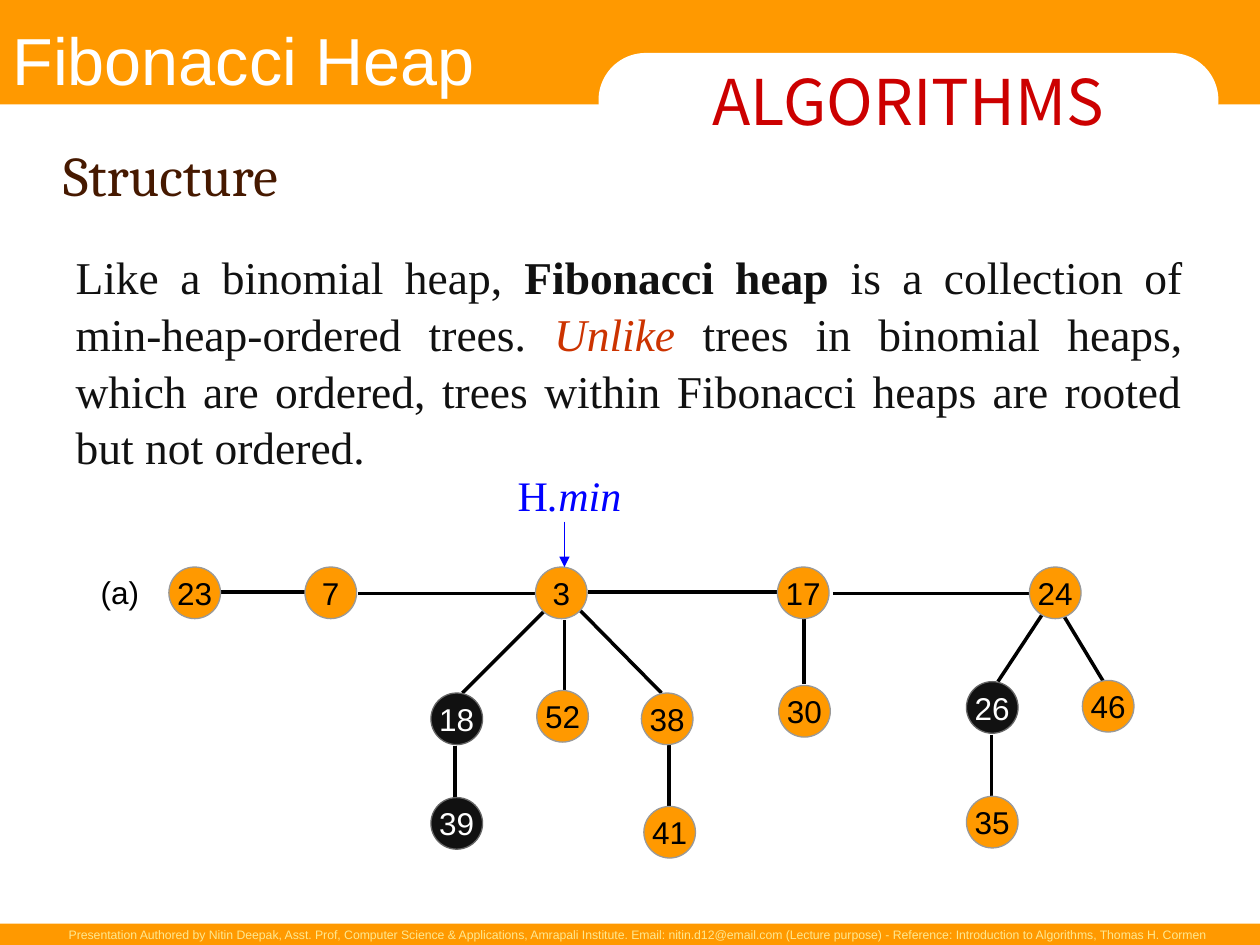
import pptx
import pptx.util
import pptx.dml.color
import pptx.enum.shapes
import pptx.enum.text
import pptx.oxml.ns
from lxml import etree

Inches = pptx.util.Inches
Pt = pptx.util.Pt
Shape = pptx.enum.shapes.MSO_SHAPE
Align = pptx.enum.text.PP_ALIGN
Anchor = pptx.enum.text.MSO_ANCHOR
Fit = pptx.enum.text.MSO_AUTO_SIZE
qn = pptx.oxml.ns.qn

ORANGE, WHITE, BLACK, BLUE = "FF9900", "FFFFFF", "000000", "0000FF"
DARK = "111111"
SIZE = 0.41  # node diameter


def color(code):
    return pptx.dml.color.RGBColor.from_string(code)


class Deck:
    sans = "Arial"
    serif = "Times New Roman"

    def __init__(self, wide, high):
        self.prs = pptx.Presentation()
        self.prs.slide_width = Inches(wide)
        self.prs.slide_height = Inches(high)
        self.slide = self.prs.slides.add_slide(self.prs.slide_layouts[1])

    def words(self, shape, runs, size, tint, font, align=Align.LEFT,
              anchor=Anchor.TOP, wrap=False, pad=(0.1, 0.05)):
        """Runs are (text, changes) pairs; changes may hold bold, italic, tint."""
        frame = shape.text_frame
        frame.auto_size = Fit.NONE
        frame.word_wrap = wrap
        frame.vertical_anchor = anchor
        frame.margin_left = frame.margin_right = Inches(pad[0])
        frame.margin_top = frame.margin_bottom = Inches(pad[1])
        para = frame.paragraphs[0]
        para.alignment = align
        para.space_before = Pt(0)
        para.font.size = Pt(size)
        para.font.name = font
        para.font.color.rgb = color(tint)
        for text, look in runs:
            run = para.add_run()
            run.text = text
            run.font.bold = look.get("bold")
            run.font.italic = look.get("italic")
            if "tint" in look:
                run.font.color.rgb = color(look["tint"])
        return para

    def holder(self, index, box, runs, *style, **more):
        shape = self.slide.placeholders[index]
        shape.left, shape.top, shape.width, shape.height = map(Inches, box)
        return self.words(shape, runs, *style, wrap=True, **more)

    def label(self, box, runs, *style, **more):
        shape = self.slide.shapes.add_textbox(*map(Inches, box))
        return self.words(shape, runs, *style, **more)

    def block(self, kind, box, fill, edge=None):
        shape = self.slide.shapes.add_shape(kind, *map(Inches, box))
        shape.shadow.inherit = False
        shape.fill.solid()
        shape.fill.fore_color.rgb = color(fill)
        if edge:
            shape.line.color.rgb = color(edge)
            shape.line.width = Pt(0.75)
        else:
            shape.line.fill.background()
        return shape

    def node(self, key, left, top, marked):
        fill, edge, tint = (DARK, "666666", WHITE) if marked else (ORANGE, "999999", BLACK)
        shape = self.block(Shape.OVAL, (left, top, SIZE, SIZE), fill, edge)
        self.words(shape, [(str(key), {})], 18, tint, self.sans,
                   align=Align.CENTER, anchor=Anchor.MIDDLE)

    def line(self, ends, tint=BLACK, width=2, arrow=False):
        straight = pptx.enum.shapes.MSO_CONNECTOR.STRAIGHT
        link = self.slide.shapes.add_connector(straight, *map(Inches, ends))
        link.line.color.rgb = color(tint)
        link.line.width = Pt(width)
        props = link._element.spPr
        if arrow:
            tip = etree.SubElement(props.find(qn("a:ln")), qn("a:tailEnd"))
            tip.set("type", "triangle")
        etree.SubElement(props, qn("a:effectLst"))


def main():
    deck = Deck(10, 7.5)

    # Header and footer bands
    deck.block(Shape.RECTANGLE, (0, 0, 10, 0.83), ORANGE)
    pill = deck.block(Shape.ROUNDED_RECTANGLE, (4.75, 0.42, 4.92, 0.75), WHITE)
    pill.adjustments[0] = 0.5
    deck.words(pill, [("ALGORITHMS", {})], 36, "CC0000", "Noto Sans CJK KR",
               align=Align.CENTER, anchor=Anchor.MIDDLE)
    deck.block(Shape.RECTANGLE, (0, 7.33, 10, 0.17), ORANGE)
    credit = ("Presentation Authored by Nitin Deepak, Asst. Prof, Computer Science & "
              "Applications, Amrapali Institute. Email: nitin.d12@email.com (Lecture "
              "purpose) - Reference: Introduction to Algorithms, Thomas H. Cormen")
    deck.label((0.42, 7.31, 9.25, 0.22), [(credit, {})], 7, "FDE891", deck.sans,
               align=Align.RIGHT)
    deck.label((0.1, 0.1, 4.2, 0.74), [("Fibonacci Heap", {})], 38, WHITE, deck.sans,
               anchor=Anchor.MIDDLE, wrap=True, pad=(0, 0))

    # Title and body
    deck.holder(0, (0.5, 1.01, 8.99, 0.74), [("Structure", {})], 32, "461900",
                "Cambria", anchor=Anchor.MIDDLE, pad=(0, 0))
    body = [
        ("Like a binomial heap, ", {}),
        ("Fibonacci heap", {"bold": True}),
        (" is a collection of min-heap-ordered trees. ", {}),
        ("Unlike", {"italic": True, "tint": "CC3300"}),
        (" trees in binomial heaps, which are ordered, trees within Fibonacci "
         "heaps are rooted but not ordered.", {}),
    ]
    para = deck.holder(1, (0.5, 1.91, 8.99, 1.99), body, 26, DARK, deck.serif,
                       align=Align.JUSTIFY)
    para.line_spacing = 1.04
    props = para._p.get_or_add_pPr()
    props.set("marL", "0")
    props.set("indent", "0")
    spot = props.find(qn("a:defRPr"))
    spot.addprevious(etree.Element(qn("a:buNone")))

    # Edges: root list, then parent to child
    deck.label((0.7, 4.5, 0.5, 0.4), [("(a)", {})], 18, BLACK, deck.sans)
    roots = [(1.75, 2.42, 4.7), (2.84, 4.25, 4.71), (4.67, 6.17, 4.7), (6.61, 8.17, 4.71)]
    for start, end, y in roots:
        deck.line((start, y, end, y))
    drops = [(4.48, 4.92, 5.5), (6.38, 4.9, 5.43), (3.61, 5.92, 6.34),
             (5.31, 5.91, 6.41), (7.87, 5.83, 6.33)]
    for x, start, end in drops:
        deck.line((x, start, x, end))
    slants = [(4.34, 4.83, 3.67, 5.5), (4.59, 4.83, 5.25, 5.5),
              (8.27, 4.88, 7.92, 5.41), (8.42, 4.85, 8.77, 5.43)]
    for ends in slants:
        deck.line(ends)

    # Nodes: key, left, top
    nodes = [(23, 1.34, 4.5), (7, 2.42, 4.5), (3, 4.25, 4.5), (17, 6.17, 4.5),
             (24, 8.17, 4.5), (18, 3.42, 5.5), (52, 4.26, 5.48), (38, 5.09, 5.5),
             (30, 6.18, 5.44), (26, 7.67, 5.41), (46, 8.59, 5.4), (39, 3.42, 6.33),
             (41, 5.11, 6.4), (35, 7.67, 6.32)]
    for key, left, top in nodes:
        deck.node(key, left, top, key in (18, 26, 39))

    # Minimum pointer
    deck.label((4.01, 3.68, 1.02, 0.5), [("H", {}), (".min", {"italic": True})],
               24, BLUE, deck.serif)
    deck.line((4.48, 4.14, 4.48, 4.5), BLUE, 0.75, arrow=True)

    deck.prs.save("out.pptx")


if __name__ == "__main__":
    main()
